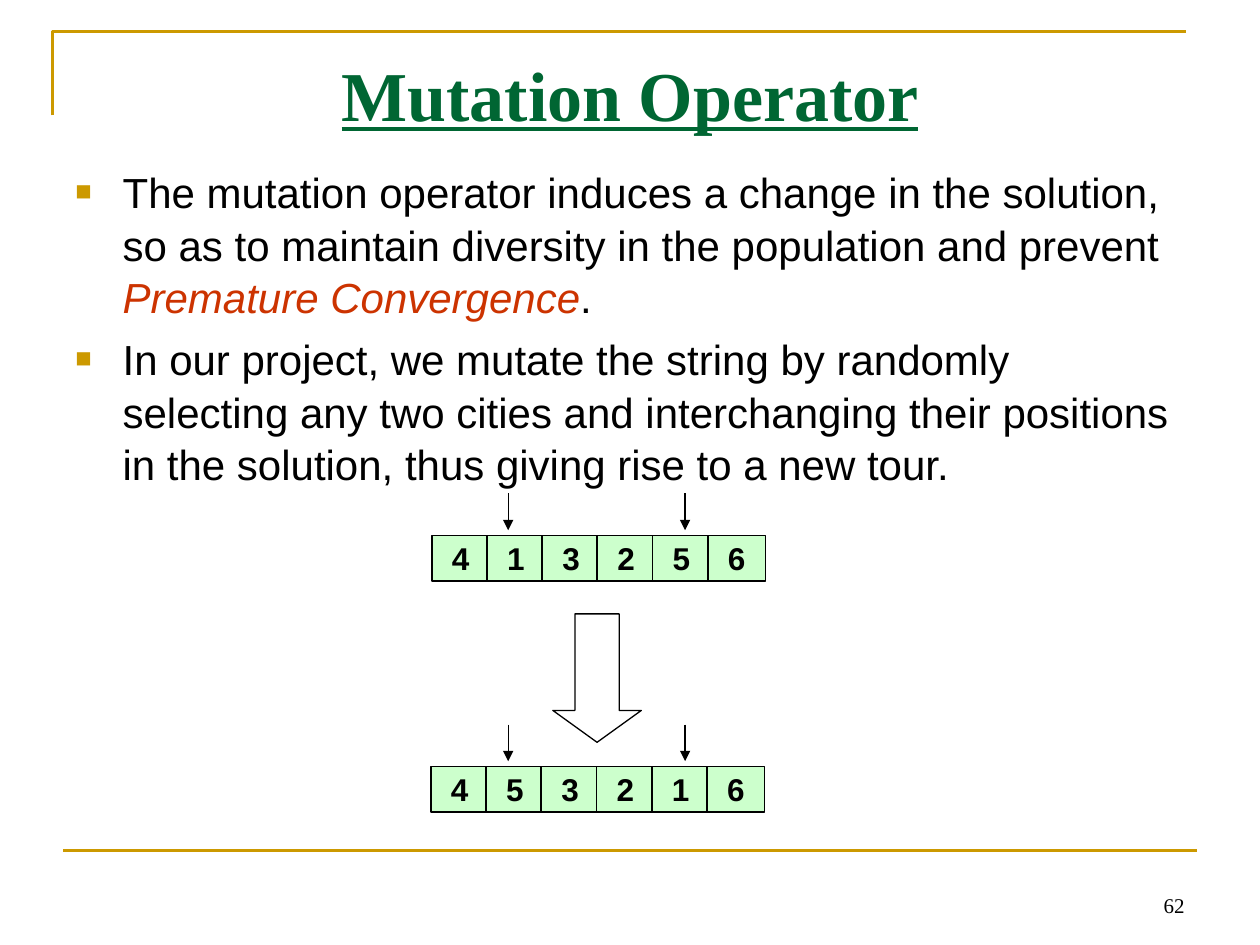
import pptx
import pptx.util
import pptx.dml.color
import pptx.enum.shapes
import pptx.enum.text
import pptx.oxml.ns
from lxml import etree

Pt = pptx.util.Pt
SHAPE = pptx.enum.shapes.MSO_SHAPE
ALIGN = pptx.enum.text.PP_ALIGN
ANCHOR = pptx.enum.text.MSO_ANCHOR
qn = pptx.oxml.ns.qn
GOLD, BLACK = "CC9900", "000000"


def rgb(hex_value):
    return pptx.dml.color.RGBColor.from_string(hex_value)


def set_format(target, values):
    for name, value in values.items():
        setattr(target, name, value)


def add_run(paragraph, words, color, **font_format):
    run = paragraph.add_run()
    run.text = words
    set_format(run.font, font_format)
    run.font.color.rgb = rgb(color)


def style_line(part, color, width):
    part.line.color.rgb = rgb(color)
    part.line.width = Pt(width)


def add_text_frame(slide, box, **frame_format):
    frame = slide.shapes.add_textbox(*map(Pt, box)).text_frame
    set_format(frame, {"word_wrap": True, **frame_format})
    return frame


def add_line(slide, start, end, color, width, arrow=False):
    line = slide.shapes.add_connector(
        pptx.enum.shapes.MSO_CONNECTOR.STRAIGHT, *map(Pt, (*start, *end)))
    style_line(line, color, width)
    properties = line._element.spPr
    if arrow:
        etree.SubElement(properties.find(qn("a:ln")), qn("a:tailEnd"), type="triangle")
    etree.SubElement(properties, qn("a:effectLst"))


def add_frame_lines(slide, box):
    """Gold corner at the top left and gold rule at the bottom."""
    left, top, width, height = box
    builder = slide.shapes.build_freeform(Pt(left), Pt(top + 48))
    builder.add_line_segments(
        [(Pt(left), Pt(top)), (Pt(left + width), Pt(top))], close=False)
    corner = builder.convert_to_shape()
    corner.shadow.inherit = False
    corner.fill.background()
    style_line(corner, GOLD, 1.5)
    bottom = top + height
    add_line(slide, (left + 6, bottom), (left + 6 + width, bottom), GOLD, 1.5)


def add_page_number(slide, box):
    paragraph = add_text_frame(slide, box, vertical_anchor=ANCHOR.BOTTOM).paragraphs[0]
    paragraph.alignment = ALIGN.RIGHT
    add_run(paragraph, "62", BLACK, name="Times New Roman", size=Pt(12))


def add_title(slide, box):
    paragraph = add_text_frame(slide, box, margin_top=Pt(8)).paragraphs[0]
    paragraph.alignment = ALIGN.CENTER
    add_run(paragraph, "Mutation Operator", "006633", name="Times New Roman",
            size=Pt(40), bold=True, underline=True)


def add_bullet(paragraph):
    properties = paragraph._p.get_or_add_pPr()
    properties.set("marL", str(Pt(27)))
    properties.set("indent", str(-Pt(27)))
    color = etree.SubElement(properties, qn("a:buClr"))
    etree.SubElement(color, qn("a:srgbClr"), val=GOLD)
    etree.SubElement(properties, qn("a:buSzPct"), val="65000")
    etree.SubElement(properties, qn("a:buFont"), typeface="Arial")
    etree.SubElement(properties, qn("a:buChar"), char="■")


def add_body(slide, box):
    points = [
        [("The mutation operator induces a change in the solution, so as to maintain "
          "diversity in the population and prevent ", BLACK, False),
         ("Premature Convergence", "CC3300", True),
         (".", BLACK, False)],
        [("In our project, we mutate the string by randomly selecting any two cities "
          "and interchanging their positions in the solution, thus giving rise to a "
          "new tour.", BLACK, False)],
    ]
    frame = add_text_frame(slide, box)
    for index, point in enumerate(points):
        paragraph = frame.add_paragraph() if index else frame.paragraphs[0]
        add_bullet(paragraph)
        paragraph.line_spacing = 1.05
        paragraph.space_before = Pt(4.8 if index else 0)
        for words, color, italic in point:
            add_run(paragraph, words, color, name="Arial", size=Pt(24), italic=italic)


def add_tour(slide, box, cities):
    """Row of overlapping city cells, with arrows over the two swapped cities."""
    left, top, width, height = box
    cell_width = 33
    pitch = (width - cell_width) / (len(cities) - 1)
    row = slide.shapes.add_group_shape()
    for index, city in enumerate(cities):
        cell = row.shapes.add_shape(SHAPE.RECTANGLE, Pt(left + index * pitch), Pt(top),
                                    Pt(cell_width), Pt(height))
        cell.shadow.inherit = False
        cell.fill.solid()
        cell.fill.fore_color.rgb = rgb("CCFFCC")
        style_line(cell, BLACK, 1)
        set_format(cell.text_frame, {"word_wrap": False, "vertical_anchor": ANCHOR.MIDDLE})
        paragraph = cell.text_frame.paragraphs[0]
        paragraph.alignment = ALIGN.CENTER
        add_run(paragraph, city, BLACK, name="Arial", size=Pt(18), bold=True)
    for x in (290.4, 391.5):
        add_line(slide, (x, top - 24), (x, top - 3), BLACK, 0.75, arrow=True)


def add_mutation_arrow(slide, box):
    arrow = slide.shapes.add_shape(SHAPE.DOWN_ARROW, *map(Pt, box))
    arrow.shadow.inherit = False
    arrow.adjustments[0] = 0.5
    arrow.adjustments[1] = 0.36
    arrow.fill.solid()
    arrow.fill.fore_color.rgb = rgb("FFFFFF")
    style_line(arrow, BLACK, 0.75)


def main():
    deck = pptx.Presentation()
    set_format(deck, {"slide_width": Pt(720), "slide_height": Pt(540)})
    slide = deck.slides.add_slide(deck.slide_layouts[6])
    add_frame_lines(slide, (30, 18, 648, 468))
    add_page_number(slide, (516, 492, 168, 36))
    add_title(slide, (36, 21.6, 648, 56))
    add_body(slide, (36, 90, 648, 390))
    add_tour(slide, (246.7, 306, 190.8, 26), "413256")
    add_tour(slide, (246.2, 438, 190.8, 26), "453216")
    add_mutation_arrow(slide, (315.9, 350.8, 50.6, 73.4))
    deck.save("out.pptx")


if __name__ == "__main__":
    main()
